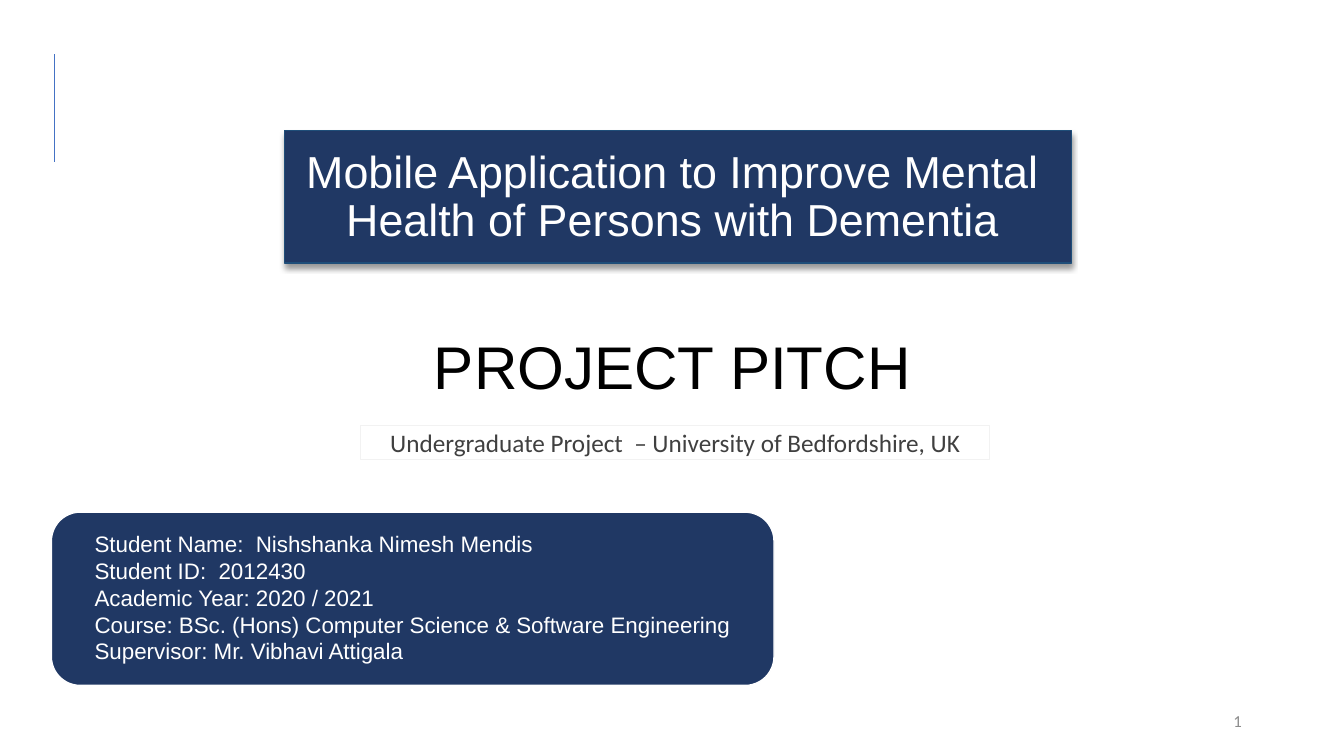
from dataclasses import dataclass
from typing import Optional

from lxml import etree
from pptx import Presentation
from pptx import util as u
from pptx.dml.color import RGBColor
from pptx.enum import shapes, text
from pptx.oxml import ns

NAVY = RGBColor(0x20, 0x38, 0x64)
TITLE_EDGE = RGBColor(0x1F, 0x4E, 0x79)
PALE_GREY = RGBColor(0xF2, 0xF2, 0xF2)
DARK_GREY = RGBColor(0x40, 0x40, 0x40)
MID_GREY = RGBColor(0x8C, 0x8C, 0x8C)
ACCENT_BLUE = RGBColor(0x44, 0x72, 0xC4)
WHITE = RGBColor(0xFF, 0xFF, 0xFF)
BLACK = RGBColor(0x00, 0x00, 0x00)

LEFT, CENTER, RIGHT = text.PP_ALIGN.LEFT, text.PP_ALIGN.CENTER, text.PP_ALIGN.RIGHT
TOP, MIDDLE, BOTTOM = text.MSO_ANCHOR.TOP, text.MSO_ANCHOR.MIDDLE, text.MSO_ANCHOR.BOTTOM
RECTANGLE = shapes.MSO_SHAPE.RECTANGLE
ROUNDED = shapes.MSO_SHAPE.ROUNDED_RECTANGLE


@dataclass(frozen=True)
class Box:
    """A block of text, framed when a preset is given; lengths in points."""
    place: tuple[float, float, float, float]
    lines: tuple[str, ...] = ()
    size: float = 16
    font: str = "Arial"
    color: RGBColor = WHITE
    align: text.PP_ALIGN = LEFT
    anchor: text.MSO_ANCHOR = TOP
    insets: tuple[float, float, float, float] = (7.2, 3.6, 7.2, 3.6)
    spacing: float = 1.0
    preset: Optional[shapes.MSO_SHAPE] = None
    fill: Optional[RGBColor] = None
    edge: RGBColor = WHITE
    edge_width: float = 0.75
    shadow: bool = False


BOXES = (
    Box((36.7, 365.8, 516.2, 123.8), preset=ROUNDED, fill=NAVY, edge_width=1),
    Box((203, 92.9, 562.3, 95),
        ("Mobile Application to Improve Mental Health of Persons with Dementia",),
        size=32, align=CENTER, anchor=BOTTOM, insets=(14.4, 7.2, 21.6, 12),
        spacing=0.9, preset=RECTANGLE, fill=NAVY, edge=TITLE_EDGE, shadow=True),
    Box((257.8, 303.8, 449.3, 24.5),
        ("Undergraduate Project  – University of Bedfordshire, UK",),
        size=18, font="Calibri", color=DARK_GREY, align=CENTER, spacing=0.9,
        preset=RECTANGLE, edge=PALE_GREY),
    Box((678.2, 500.4, 216, 28.8), ("1",), size=12, font="Calibri",
        color=MID_GREY, align=RIGHT, anchor=MIDDLE),
    Box((302.4, 231.8, 355.7, 59), ("PROJECT PITCH",), size=43,
        color=BLACK, align=CENTER),
    Box((60.5, 375.1, 499, 104.4),
        ("Student Name:  Nishshanka Nimesh Mendis",
         "Student ID:  2012430",
         "Academic Year: 2020 / 2021",
         "Course: BSc. (Hons) Computer Science & Software Engineering",
         "Supervisor: Mr. Vibhavi Attigala")),
)


def set_all(target, values: dict) -> None:
    for name, value in values.items():
        setattr(target, name, value)


def add_drop_shadow(shape) -> None:
    effects = shape._element.spPr.find(ns.qn("a:effectLst"))
    shadow = etree.SubElement(effects, ns.qn("a:outerShdw"), {
        "blurRad": str(u.Pt(4)), "dist": str(u.Pt(3)),
        "dir": "5400000", "algn": "t", "rotWithShape": "0"})
    color = etree.SubElement(shadow, ns.qn("a:srgbClr"), val=str(BLACK))
    etree.SubElement(color, ns.qn("a:alpha"), val="40000")


def add_frame(page, box: Box):
    place = [u.Pt(length) for length in box.place]
    if box.preset is None:
        return page.shapes.add_textbox(*place)
    shape = page.shapes.add_shape(box.preset, *place)
    shape.shadow.inherit = False
    if box.fill is None:
        shape.fill.background()
    else:
        shape.fill.solid()
        shape.fill.fore_color.rgb = box.fill
    shape.line.color.rgb = box.edge
    shape.line.width = u.Pt(box.edge_width)
    if box.shadow:
        add_drop_shadow(shape)
    return shape


def add_box(page, box: Box) -> None:
    frame = add_frame(page, box).text_frame
    left, top, right, bottom = (u.Pt(inset) for inset in box.insets)
    set_all(frame, {"word_wrap": True, "vertical_anchor": box.anchor,
                    "margin_left": left, "margin_top": top,
                    "margin_right": right, "margin_bottom": bottom})
    for index, line in enumerate(box.lines):
        para = frame.add_paragraph() if index else frame.paragraphs[0]
        set_all(para, {"alignment": box.align, "line_spacing": box.spacing})
        span = para.add_run()
        span.text = line
        set_all(span.font, {"name": box.font, "size": u.Pt(box.size)})
        span.font.color.rgb = box.color


def add_accent_line(page) -> None:
    x, top, bottom = u.Pt(38.9), u.Pt(38.9), u.Pt(115.9)
    line = page.shapes.add_connector(shapes.MSO_CONNECTOR.STRAIGHT, x, top, x, bottom)
    line.line.color.rgb = ACCENT_BLUE
    line.line.width = u.Pt(1)
    etree.SubElement(line._element.spPr, ns.qn("a:effectLst"))


def main() -> None:
    deck = Presentation()
    set_all(deck, {"slide_width": u.Pt(960), "slide_height": u.Pt(540)})
    page = deck.slides.add_slide(deck.slide_layouts[6])
    for box in BOXES:
        add_box(page, box)
    add_accent_line(page)
    deck.save("out.pptx")


if __name__ == "__main__":
    main()
